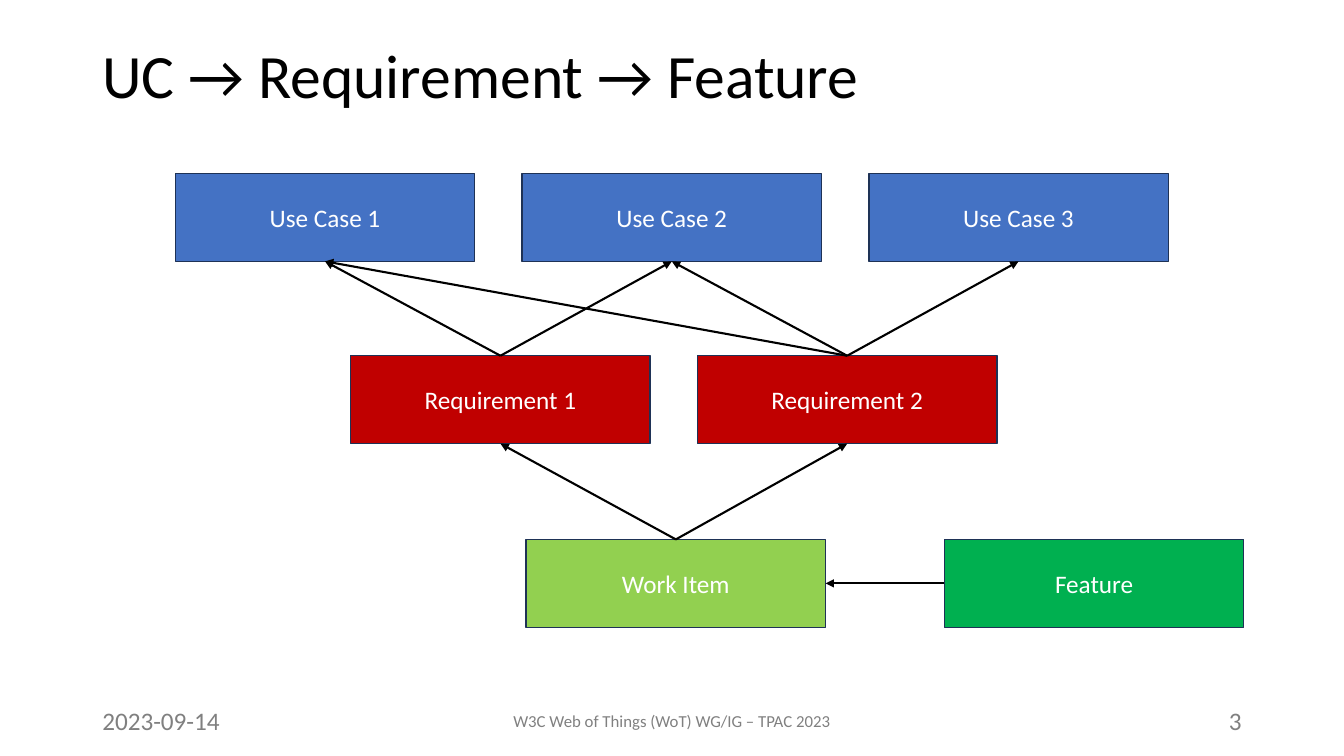
from lxml import etree
from pptx import Presentation
from pptx.dml.color import RGBColor
from pptx.enum.shapes import MSO_CONNECTOR, MSO_SHAPE
from pptx.enum.text import MSO_ANCHOR, PP_ALIGN
from pptx.oxml.ns import qn
from pptx.util import Pt

STRAIGHT = MSO_CONNECTOR.STRAIGHT
RECTANGLE = MSO_SHAPE.RECTANGLE
TOP, MIDDLE = MSO_ANCHOR.TOP, MSO_ANCHOR.MIDDLE
LEFT, CENTER, RIGHT = PP_ALIGN.LEFT, PP_ALIGN.CENTER, PP_ALIGN.RIGHT
TOP_SIDE, LEFT_SIDE, BOTTOM_SIDE, RIGHT_SIDE = range(4)

BLACK = RGBColor(0x00, 0x00, 0x00)
WHITE = RGBColor(0xFF, 0xFF, 0xFF)
GRAY = RGBColor(0x80, 0x80, 0x80)
NAVY = RGBColor(0x1E, 0x32, 0x56)
BLUE = RGBColor(0x44, 0x72, 0xC4)
RED = RGBColor(0xC0, 0x00, 0x00)
LIME = RGBColor(0x92, 0xD0, 0x50)
GREEN = RGBColor(0x00, 0xB0, 0x50)

FONT = "Calibri"
BOX_WIDTH, BOX_HEIGHT = 213.84, 62.8
ROW_TOPS = (123.9, 254.1, 385.3)
ROW_INDENT = 125.28
COLUMN_STEP = 247.68
FEATURE_LEFT = 674.64
MARGIN = 66
FOOTER_TOP, FOOTER_HEIGHT = 500.5, 28.75


def write_text(shape, text, size, color, align, anchor):
    """Fill a shape with one formatted paragraph."""
    frame = shape.text_frame
    frame.word_wrap = True
    frame.vertical_anchor = anchor
    frame.text = text
    para = frame.paragraphs[0]
    para.alignment = align
    font = para.runs[0].font
    font.name, font.size = FONT, Pt(size)
    font.color.rgb = color
    return para


def add_label(page, text, left, top, width, height, size, color, align=LEFT, anchor=TOP):
    """Add a text box and return its paragraph."""
    box = page.shapes.add_textbox(Pt(left), Pt(top), Pt(width), Pt(height))
    return write_text(box, text, size, color, align, anchor)


def add_box(page, text, left, row, fill):
    """Add a diagram box on one of the rows."""
    box = page.shapes.add_shape(
        RECTANGLE, Pt(left), Pt(ROW_TOPS[row]), Pt(BOX_WIDTH), Pt(BOX_HEIGHT)
    )
    box.shadow.inherit = False
    box.fill.solid()
    box.fill.fore_color.rgb = fill
    box.line.color.rgb = NAVY
    box.line.width = Pt(1)
    write_text(box, text, 18, WHITE, CENTER, MIDDLE)
    return box


def add_row(page, labels, row, fill):
    """Add evenly spaced boxes, each row indented further than the last."""
    start = ROW_INDENT * (row + 1)
    return [
        add_box(page, label, start + COLUMN_STEP * column, row, fill)
        for column, label in enumerate(labels)
    ]


def add_arrow(page, source, target, source_side=TOP_SIDE, target_side=BOTTOM_SIDE):
    """Join two boxes with an arrow pointing at the target."""
    arrow = page.shapes.add_connector(STRAIGHT, 0, 0, 0, 0)
    arrow.begin_connect(source, source_side)
    arrow.end_connect(target, target_side)
    arrow.line.color.rgb = BLACK
    arrow.line.width = Pt(1.5)
    etree.SubElement(arrow.line._get_or_add_ln(), qn("a:tailEnd"), type="triangle")
    etree.SubElement(arrow._element.spPr, qn("a:effectLst"))


def add_footer(page):
    """Add the date, the event name and the page number."""
    add_label(page, "2023-09-14", MARGIN, FOOTER_TOP, 216, FOOTER_HEIGHT, 18, GRAY)
    add_label(page, "W3C Web of Things (WoT) WG/IG – TPAC 2023", 318, FOOTER_TOP,
              324, FOOTER_HEIGHT, 12, GRAY, CENTER, MIDDLE)
    add_label(page, "3", 678, FOOTER_TOP, 216, FOOTER_HEIGHT, 18, GRAY, RIGHT)


def main():
    """Build the slide and save it."""
    deck = Presentation()
    deck.slide_width, deck.slide_height = Pt(960), Pt(540)
    page = deck.slides.add_slide(deck.slide_layouts[6])

    title = add_label(page, "UC → Requirement → Feature", MARGIN, 28.75, 828, 104.4, 44, BLACK)
    title.line_spacing = 0.9
    add_footer(page)

    use_cases = add_row(page, ("Use Case 1", "Use Case 2", "Use Case 3"), 0, BLUE)
    requirements = add_row(page, ("Requirement 1", "Requirement 2"), 1, RED)
    work_item = add_row(page, ("Work Item",), 2, LIME)[0]
    feature = add_box(page, "Feature", FEATURE_LEFT, 2, GREEN)

    for use_case in use_cases[:2]:
        add_arrow(page, requirements[0], use_case)
    for use_case in use_cases:
        add_arrow(page, requirements[1], use_case)
    for requirement in requirements:
        add_arrow(page, work_item, requirement)
    add_arrow(page, feature, work_item, LEFT_SIDE, RIGHT_SIDE)

    deck.save("out.pptx")


if __name__ == "__main__":
    main()
